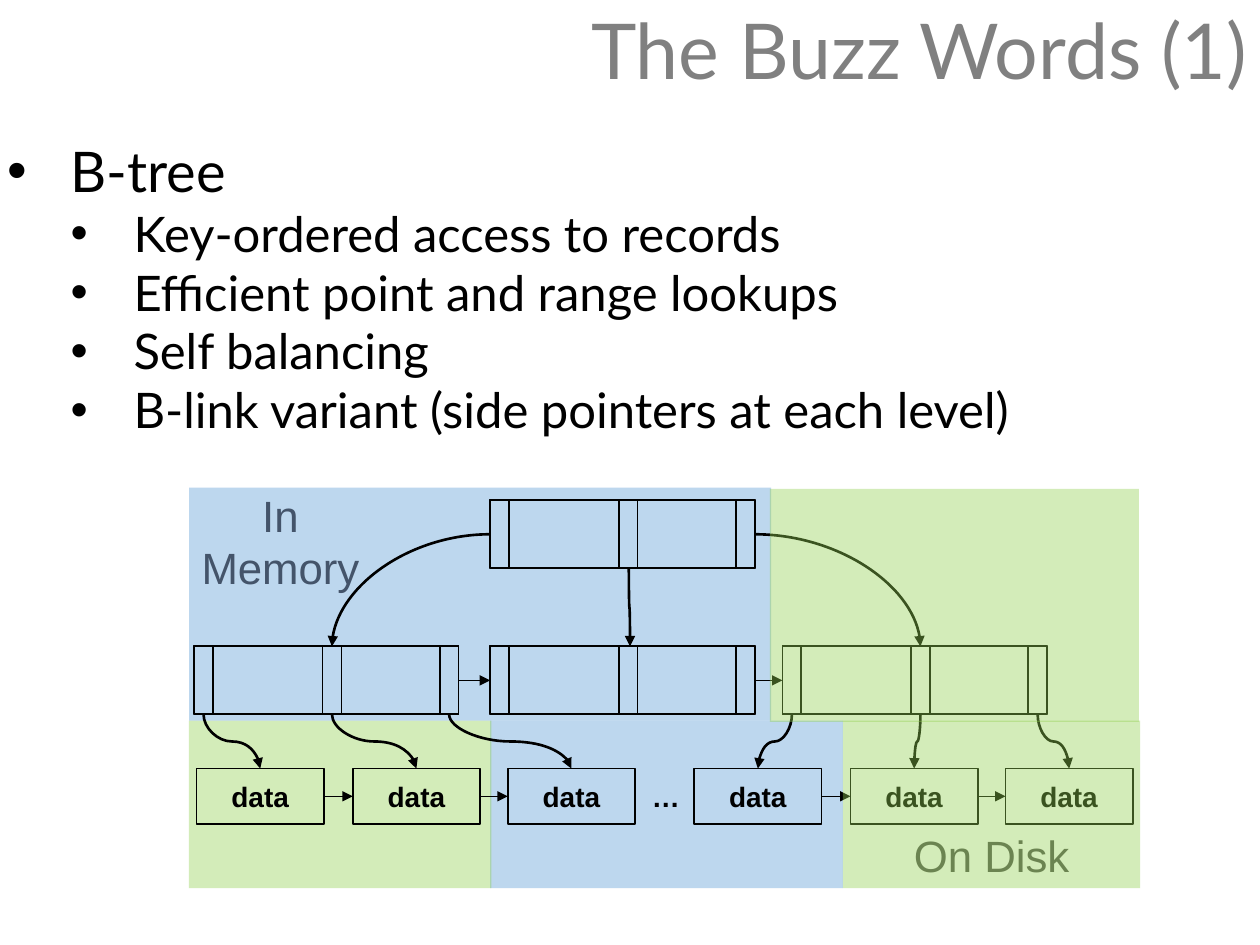
from lxml.etree import SubElement
from pptx import Presentation
from pptx.dml.color import RGBColor
from pptx.enum.shapes import MSO_CONNECTOR, MSO_SHAPE
from pptx.enum.text import MSO_ANCHOR, PP_ALIGN
from pptx.oxml.ns import qn
from pptx.util import Inches, Pt

COLORS = {
    "title": "808080",
    "ink": "000000",
    "memory": "5B9BD5",
    "disk": "92D050",
    "memory_label": "44546A",
    "disk_label": "525252",
}
NODE_WIDTH, NODE_HEIGHT, POINTER_WIDTH = 2.1, 0.54, 0.15
POINTER_OFFSETS = (0, 1.02, 1.95)
ROOT_LEFT, ROOT_TOP = 3.89, 3.97
CHILD_LEFTS, CHILD_TOP = (1.54, 3.89, 6.21), 5.13
DATA_LEFTS, DATA_TOP = (1.56, 2.8, 4.03, 5.51, 6.75, 7.98), 6.1
DATA_WIDTH, DATA_HEIGHT = 1.01, 0.44


def color(name):
    """Return the named palette colour."""
    return RGBColor.from_string(COLORS[name])


def add_run(paragraph, text, size, color_name, font="Arial", bold=False):
    """Add one formatted run to a paragraph."""
    run = paragraph.add_run()
    run.text = text
    run.font.name = font
    run.font.size = Pt(size)
    run.font.bold = bold
    run.font.color.rgb = color(color_name)


def add_label(slide, box, lines, size, color_name, font="Arial", bold=False,
              align=PP_ALIGN.CENTER):
    """Add a wrapped text box with one paragraph per line and return its frame."""
    frame = slide.shapes.add_textbox(*map(Inches, box)).text_frame
    frame.word_wrap = True
    for index, line in enumerate(lines):
        paragraph = frame.paragraphs[0] if index == 0 else frame.add_paragraph()
        paragraph.alignment = align
        add_run(paragraph, line, size, color_name, font, bold)
    return frame


def add_title(slide, text):
    """Add the right-aligned slide title."""
    frame = add_label(slide, (0, 0, 10, 0.87), [text], 44, "title", "Lato",
                      align=PP_ALIGN.RIGHT)
    frame.vertical_anchor = MSO_ANCHOR.MIDDLE
    frame.paragraphs[0].line_spacing = 0.9


def add_bullets(slide, heading, items):
    """Add a bulleted heading with second-level bullets below it."""
    frame = slide.shapes.add_textbox(*map(Inches, (-0.01, 1.04, 10, 2.5))).text_frame
    frame.word_wrap = True
    frame.margin_left = frame.margin_right = Inches(0.07)
    frame.margin_top = frame.margin_bottom = Inches(0.04)
    for index, text in enumerate([heading, *items]):
        paragraph = frame.paragraphs[0] if index == 0 else frame.add_paragraph()
        level = min(index, 1)
        paragraph.level = level
        add_run(paragraph, text, 28 if level else 32, "ink", "Lato")
        properties = paragraph._p.get_or_add_pPr()
        properties.set("marL", str(Inches(0.5 * (level + 1))))
        properties.set("indent", str(Inches(-0.5)))
        SubElement(properties, qn("a:buFont"), typeface="Arial")
        SubElement(properties, qn("a:buChar"), char="•")


def add_region(slide, box, color_name):
    """Add a translucent storage region."""
    region = slide.shapes.add_shape(MSO_SHAPE.RECTANGLE, *map(Inches, box))
    region.shadow.inherit = False
    region.line.fill.background()
    region.fill.solid()
    region.fill.fore_color.rgb = color(color_name)
    hue = region._element.spPr.find(".//" + qn("a:srgbClr"))
    SubElement(hue, qn("a:alpha"), val="40000")


def add_outline(shapes, left, top, width, height):
    """Add an unfilled rectangle with a thin black line."""
    box = map(Inches, (left, top, width, height))
    shape = shapes.add_shape(MSO_SHAPE.RECTANGLE, *box)
    shape.shadow.inherit = False
    shape.fill.background()
    shape.line.color.rgb = color("ink")
    shape.line.width = Pt(1)
    return shape


def add_node(slide, left, top):
    """Add a grouped tree node with three pointer slots."""
    group = slide.shapes.add_group_shape()
    add_outline(group.shapes, left, top, NODE_WIDTH, NODE_HEIGHT)
    for offset in POINTER_OFFSETS:
        add_outline(group.shapes, left + offset, top, POINTER_WIDTH, NODE_HEIGHT)


def add_data(slide, left):
    """Add a data page."""
    shape = add_outline(slide.shapes, left, DATA_TOP, DATA_WIDTH, DATA_HEIGHT)
    shape.text_frame.vertical_anchor = MSO_ANCHOR.MIDDLE
    paragraph = shape.text_frame.paragraphs[0]
    paragraph.alignment = PP_ALIGN.CENTER
    add_run(paragraph, "data", 16, "ink", bold=True)


def add_arrow(slide, start, end, kind=MSO_CONNECTOR.STRAIGHT, width=0.5):
    """Add a connector with a triangular arrowhead."""
    arrow = slide.shapes.add_connector(kind, *map(Inches, (*start, *end)))
    arrow.line.color.rgb = color("ink")
    arrow.line.width = Pt(width)
    SubElement(arrow.line._get_or_add_ln(), qn("a:tailEnd"), type="triangle")
    SubElement(arrow._element.spPr, qn("a:effectLst"))
    return arrow


def add_arc(slide, start, end):
    """Add a curved arrow that leaves sideways and arrives downwards."""
    arrow = add_arrow(slide, start, end, MSO_CONNECTOR.CURVE, 1.5)
    arrow._element.spPr.find(qn("a:prstGeom")).set("prst", "curvedConnector2")


def add_drop(slide, start, end):
    """Add an S-shaped arrow that leaves and arrives downwards."""
    across, down = end[0] - start[0], end[1] - start[1]
    middle_x, middle_y = (start[0] + end[0]) / 2, (start[1] + end[1]) / 2
    half_width, half_height = down / 2, abs(across) / 2
    arrow = add_arrow(slide, (middle_x - half_width, middle_y - half_height),
                      (middle_x + half_width, middle_y + half_height),
                      MSO_CONNECTOR.CURVE, 1.5)
    transform = arrow._element.spPr.find(qn("a:xfrm"))
    transform.set("rot", str((90 if across < 0 else 270) * 60000))
    if across >= 0:
        transform.set("flipH", "1")


def add_tree(slide):
    """Add the nodes, data pages and pointers of the B-tree."""
    add_node(slide, ROOT_LEFT, ROOT_TOP)
    for left in CHILD_LEFTS:
        add_node(slide, left, CHILD_TOP)
    for left in DATA_LEFTS:
        add_data(slide, left)
    centers = [left + POINTER_OFFSETS[1] + POINTER_WIDTH / 2 for left in CHILD_LEFTS]
    side_y = ROOT_TOP + NODE_HEIGHT / 2
    add_arc(slide, (ROOT_LEFT, side_y), (centers[0], CHILD_TOP))
    add_arc(slide, (ROOT_LEFT + NODE_WIDTH, side_y), (centers[2], CHILD_TOP))
    add_drop(slide, (4.99, ROOT_TOP + NODE_HEIGHT), (5, CHILD_TOP))
    slots = [left + offset + POINTER_WIDTH / 2
             for left in (CHILD_LEFTS[0], CHILD_LEFTS[2]) for offset in POINTER_OFFSETS]
    for slot, left in zip(slots, DATA_LEFTS):
        add_drop(slide, (slot, CHILD_TOP + NODE_HEIGHT), (left + DATA_WIDTH / 2, DATA_TOP))
    rows = (
        (CHILD_LEFTS, NODE_WIDTH, CHILD_TOP + NODE_HEIGHT / 2),
        (DATA_LEFTS[:3], DATA_WIDTH, DATA_TOP + DATA_HEIGHT / 2),
        (DATA_LEFTS[3:], DATA_WIDTH, DATA_TOP + DATA_HEIGHT / 2),
    )
    for lefts, width, y in rows:
        for left, following in zip(lefts, lefts[1:]):
            add_arrow(slide, (left + width, y), (following, y))


def main():
    """Build and save the slide."""
    presentation = Presentation()
    presentation.slide_width, presentation.slide_height = Inches(10), Inches(7.5)
    slide = presentation.slides.add_slide(presentation.slide_layouts[6])
    add_title(slide, "The Buzz Words (1)")
    add_region(slide, (3.89, 5.72, 2.8, 1.33), "memory")
    add_region(slide, (1.5, 5.72, 2.4, 1.33), "disk")
    add_region(slide, (1.5, 3.87, 4.62, 1.85), "memory")
    add_label(slide, (7.04, 6.53, 1.66, 0.52), ["On Disk"], 25, "disk_label")
    add_label(slide, (1.42, 3.83, 1.61, 0.94), ["In", "Memory"], 25, "memory_label")
    add_label(slide, (4.64, 6.14, 1.29, 0.37), ["…"], 16, "ink", bold=True)
    add_tree(slide)
    add_bullets(slide, "B-tree", [
        "Key-ordered access to records",
        "Efficient point and range lookups",
        "Self balancing",
        "B-link variant (side pointers at each level)",
    ])
    add_region(slide, (6.11, 3.88, 2.93, 1.85), "disk")
    add_region(slide, (6.69, 5.72, 2.36, 1.33), "disk")
    presentation.save("out.pptx")


if __name__ == "__main__":
    main()
